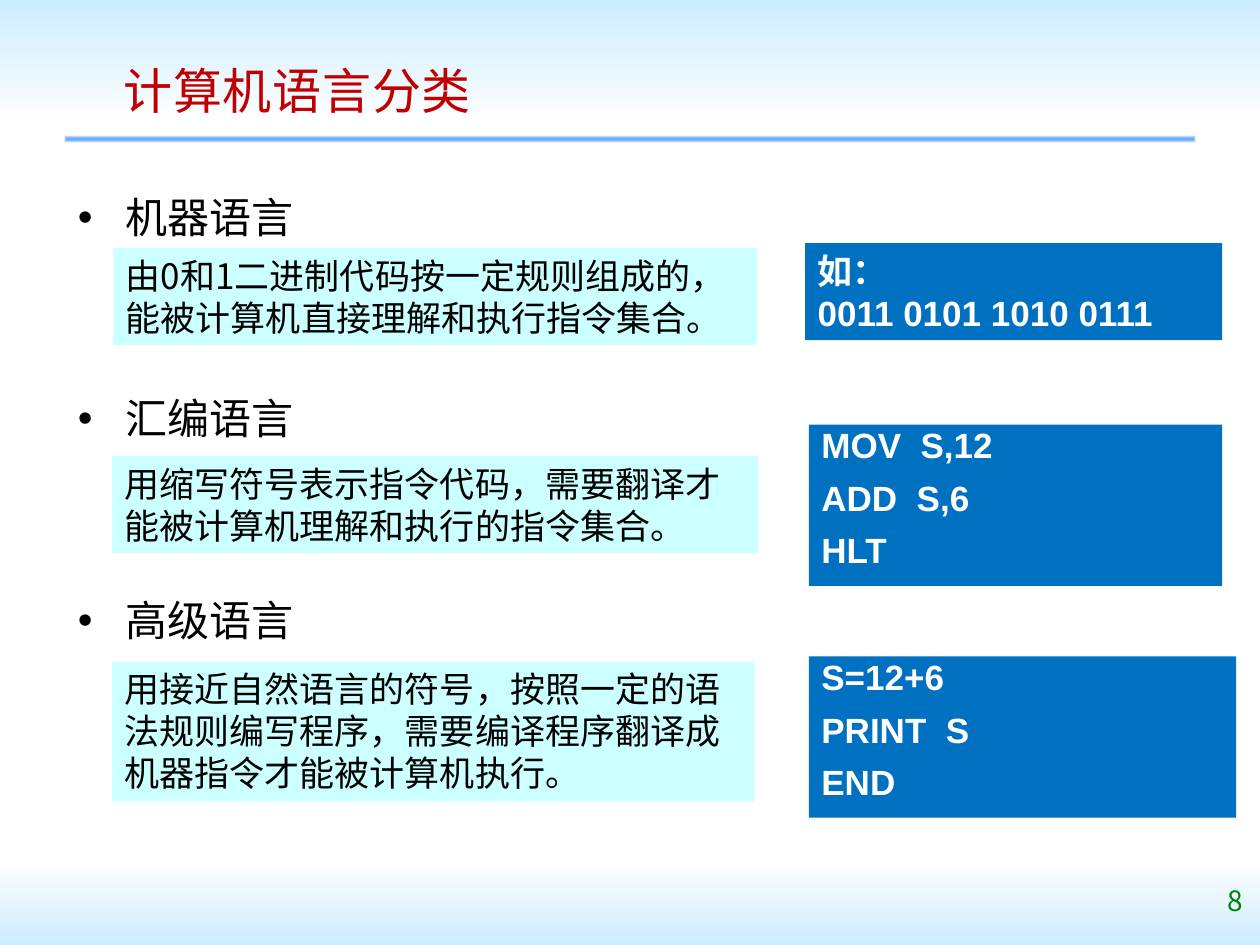
import lxml.etree
import pptx
import pptx.dml.color
import pptx.enum.shapes
import pptx.enum.text
import pptx.oxml
import pptx.oxml.ns
import pptx.util

Inches = pptx.util.Inches
Pt = pptx.util.Pt
RGBColor = pptx.dml.color.RGBColor
PP_ALIGN = pptx.enum.text.PP_ALIGN
MSO_ANCHOR = pptx.enum.text.MSO_ANCHOR
qn = pptx.oxml.ns.qn

WHITE = RGBColor(0xFF, 0xFF, 0xFF)
BLACK = RGBColor(0, 0, 0)
SKY = RGBColor(0xCC, 0xEC, 0xFF)
CYAN = RGBColor(0xCC, 0xFF, 0xFF)
BLUE = RGBColor(0, 0x70, 0xC0)
RED = RGBColor(0xC0, 0, 0)
GREEN = RGBColor(0, 0x80, 0)
RULE_STOPS = [(0, RGBColor(0x5E, 0x9E, 0xFF), 100), (40, RGBColor(0x85, 0xC2, 0xFF), 100),
              (70, RGBColor(0xC4, 0xD6, 0xEB), 100), (100, RGBColor(0xFF, 0xEB, 0xFA), 41)]
CJK = "Noto Sans CJK SC"
LATIN = "Arial"

HEADINGS = ["机器语言", "汇编语言", "高级语言"]
DEFINITIONS = [
    ((0.9, 1.97, 5.11, 0.77), "由0和1二进制代码按一定规则组成的，能被计算机直接理解和执行指令集合。"),
    ((0.89, 3.62, 5.13, 0.77), "用缩写符号表示指令代码，需要翻译才能被计算机理解和执行的指令集合。"),
    ((0.89, 5.25, 5.1, 1.11),
     "用接近自然语言的符号，按照一定的语法规则编写程序，需要编译程序翻译成机器指令才能被计算机执行。"),
]
EXAMPLES = [
    ((6.39, 1.93, 3.31, 0.77), ["如：", "0011 0101 1010 0111"], False),
    ((6.42, 3.37, 3.28, 1.28), ["MOV  S,12", "ADD  S,6", "HLT"], True),
    ((6.42, 5.21, 3.39, 1.28), ["S=12+6", "PRINT  S", "END"], True),
]


def add_rect(s, box):
    sp = s.shapes.add_shape(pptx.enum.shapes.MSO_SHAPE.RECTANGLE, *map(Inches, box))
    sp.shadow.inherit = False
    sp.line.fill.background()
    return sp


def add_band(s, box, top, bottom):
    fill = add_rect(s, box).fill
    fill.gradient()
    fill.gradient_angle = 270
    for stop, position, color in zip(fill.gradient_stops, (0, 1), (top, bottom)):
        stop.position = position
        stop.color.rgb = color


def add_rule(s, box):
    sp = add_rect(s, box)
    sp.fill.gradient()
    grad = sp.fill._xPr.find(qn("a:gradFill"))
    for child in list(grad):
        grad.remove(child)
    stops = lxml.etree.SubElement(grad, qn("a:gsLst"))
    for position, color, alpha in RULE_STOPS:
        gs = lxml.etree.SubElement(stops, qn("a:gs"), pos=str(position * 1000))
        clr = lxml.etree.SubElement(gs, qn("a:srgbClr"), val=str(color))
        if alpha < 100:
            lxml.etree.SubElement(clr, qn("a:alpha"), val=str(alpha * 1000))
    shade = lxml.etree.SubElement(grad, qn("a:path"), attrib={"path": "rect"})
    lxml.etree.SubElement(shade, qn("a:fillToRect"), l="50000", t="50000", r="50000", b="50000")


def add_run(p, text, size, color, font=CJK, bold=False):
    r = p.add_run()
    r.text = text
    r.font.size = Pt(size)
    r.font.bold = bold
    r.font.name = font
    r.font.color.rgb = color
    lxml.etree.SubElement(r._r.get_or_add_rPr(), qn("a:ea"), typeface=CJK)
    return r


def add_paragraphs(tf, lines):
    for i, line in enumerate(lines):
        yield i, tf.paragraphs[0] if i == 0 else tf.add_paragraph(), line


def add_label(s, box, text, size, color, align, anchor=MSO_ANCHOR.TOP):
    tf = s.shapes.add_textbox(*map(Inches, box)).text_frame
    tf.word_wrap = True
    tf.vertical_anchor = anchor
    p = tf.paragraphs[0]
    p.alignment = align
    return add_run(p, text, size, color)


def add_headings(s, box):
    tf = s.shapes.add_textbox(*map(Inches, box)).text_frame
    tf.word_wrap = True
    for i, p, heading in add_paragraphs(tf, HEADINGS):
        pPr = p._p.get_or_add_pPr()
        pPr.set("marL", str(Inches(0.38)))
        pPr.set("indent", str(Inches(-0.38)))
        lxml.etree.SubElement(pPr, qn("a:buFont"), typeface=LATIN)
        lxml.etree.SubElement(pPr, qn("a:buChar"), char="•")
        p.line_spacing = 2.0
        if i:
            p.space_before = Pt(57.6)
        add_run(p, heading, 24, BLACK)


def add_panel(s, box, lines, fill, color, font=CJK, bold=False, spaced=False):
    sp = add_rect(s, box)
    sp.fill.solid()
    sp.fill.fore_color.rgb = fill
    tf = sp.text_frame
    tf.word_wrap = True
    tf.vertical_anchor = MSO_ANCHOR.TOP
    for i, p, line in add_paragraphs(tf, lines):
        p.alignment = PP_ALIGN.LEFT
        if spaced:
            p.line_spacing = Pt(20)
            if i:
                p.space_before = Pt(10)
        add_run(p, line, 20, color, font, bold)


def main():
    prs = pptx.Presentation()
    prs.slide_width, prs.slide_height = Inches(10), Inches(7.5)
    s = prs.slides.add_slide(prs.slide_layouts[6])
    add_band(s, (0, 0, 10, 0.99), SKY, WHITE)
    add_band(s, (0, 6.82, 10, 0.68), WHITE, SKY)
    add_rule(s, (0.51, 1.08, 8.98, 0.05))
    add_label(s, (7.33, 6.96, 2.63, 0.36), "8", 16, GREEN, PP_ALIGN.RIGHT)
    title = add_label(s, (0.43, 0.29, 3.86, 0.84), "计算机语言分类", 28, RED,
                      PP_ALIGN.CENTER, MSO_ANCHOR.MIDDLE)
    title._r.get_or_add_rPr().set("spc", "50")
    add_headings(s, (0.52, 1.07, 1.99, 4.14))
    for box, text in DEFINITIONS:
        add_panel(s, box, [text], CYAN, BLACK)
    for box, lines, spaced in EXAMPLES:
        add_panel(s, box, lines, BLUE, WHITE, LATIN, True, spaced)
    prs.save("out.pptx")


if __name__ == "__main__":
    main()
